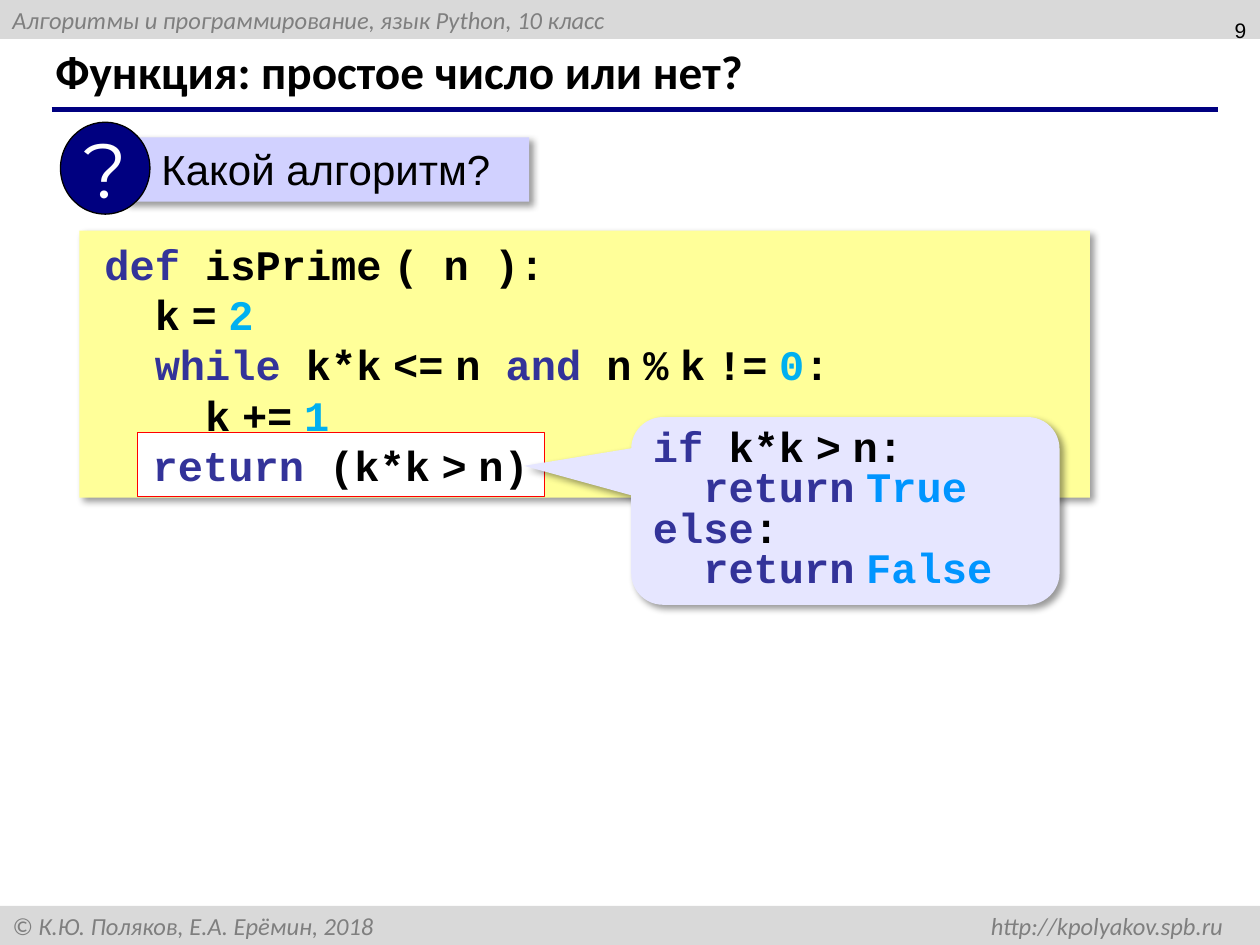
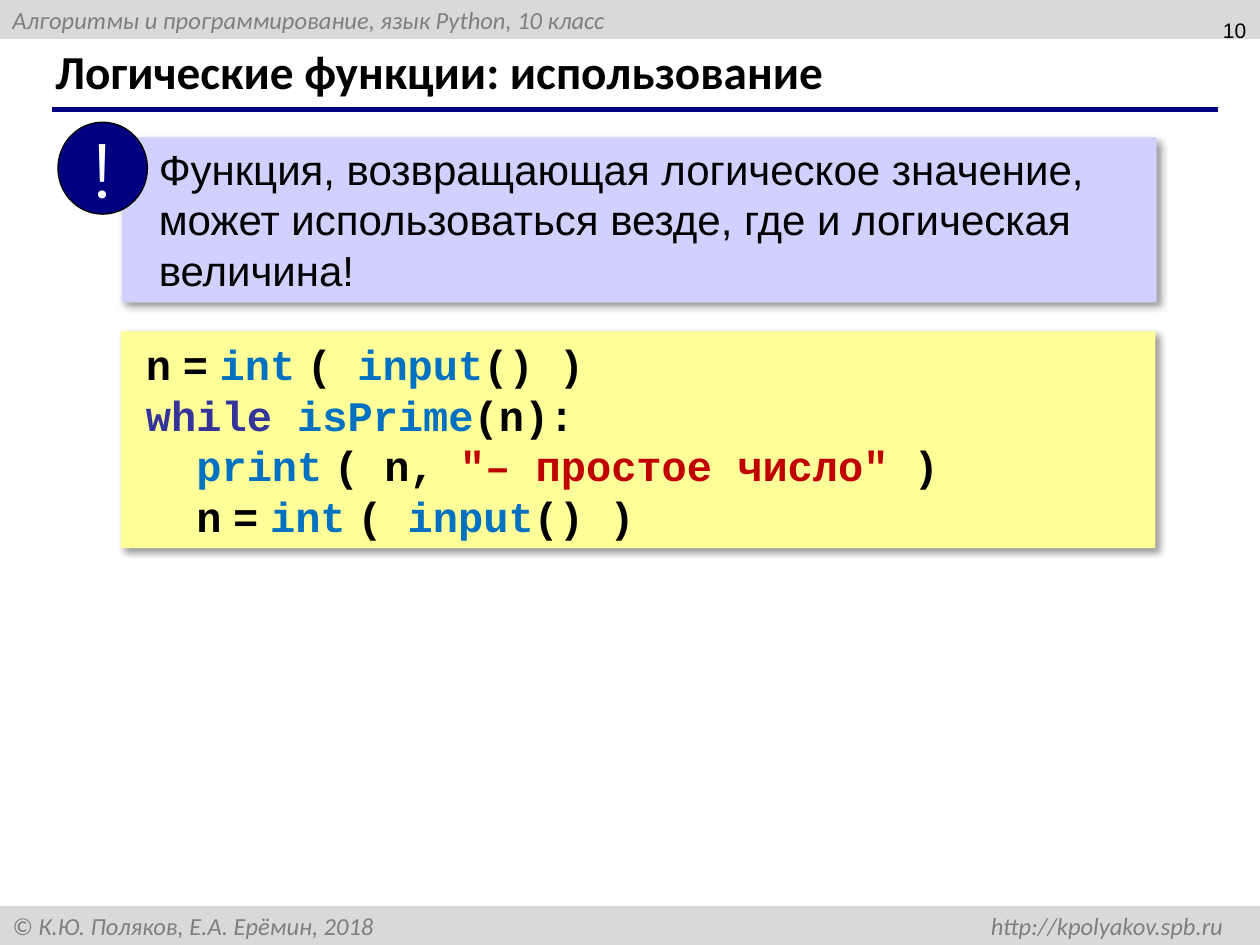
from lxml.etree import SubElement
from pptx import Presentation
from pptx.dml.color import RGBColor
from pptx.enum.shapes import MSO_CONNECTOR, MSO_SHAPE
from pptx.enum.text import MSO_ANCHOR, MSO_AUTO_SIZE, PP_ALIGN
from pptx.oxml.ns import qn
from pptx.util import Inches, Pt

BLACK = RGBColor(0x00, 0x00, 0x00)
WHITE = RGBColor(0xFF, 0xFF, 0xFF)
BAND = RGBColor(0xD9, 0xD9, 0xD9)
BAND_TEXT = RGBColor(0x7F, 0x7F, 0x7F)
NAVY = RGBColor(0x00, 0x00, 0x80)
LILAC = RGBColor(0xD1, 0xD1, 0xFF)
PALE_LILAC = RGBColor(0xE6, 0xE6, 0xFF)
YELLOW = RGBColor(0xFF, 0xFF, 0x99)
RED = RGBColor(0xFF, 0x00, 0x00)
KEYWORD = RGBColor(0x33, 0x33, 0x99)
BRIGHT_KEYWORD = RGBColor(0x00, 0x00, 0xFF)
NUMBER = RGBColor(0x00, 0xB0, 0xF0)
CONSTANT = RGBColor(0x00, 0x95, 0xFF)
FUNCTION = RGBColor(0x00, 0x70, 0xC0)
STRING = RGBColor(0xC0, 0x00, 0x00)

BAND_HEIGHT = 0.31
CODE_STEP = 0.4  # width of one indent level
NARROW = "~"  # stands for a narrow space in code lines

# A code line is its indent level followed by (text, colour) pieces.
READ_NUMBER = [(f"n{NARROW}={NARROW}", BLACK), ("int", FUNCTION),
               ("~( ", BLACK), ("input", FUNCTION), ("() )", BLACK)]
RETURN_TEST = (" (k*k~>~n)", BLACK)
IS_PRIME_CODE = [
    (0, [("def ", KEYWORD), ("isPrime~( n ):", BLACK)]),
    (1, [("k~=~", BLACK), ("2", NUMBER)]),
    (1, [("while", KEYWORD), (" k*k~<=~n ", BLACK), ("and", KEYWORD),
         (" n~%~k~!=~", BLACK), ("0", NUMBER), (":", BLACK)]),
    (2, [("k~+=~", BLACK), ("1", NUMBER)]),
    (1, [("return", BRIGHT_KEYWORD), RETURN_TEST]),
]
RETURN_CODE = [(0, [("return", KEYWORD), RETURN_TEST])]
BRANCH_CODE = [
    (0, [("if ", KEYWORD), ("k*k~>~n:", BLACK)]),
    (1, [("return~", KEYWORD), ("True", CONSTANT)]),
    (0, [("else", KEYWORD), (":", BLACK)]),
    (1, [("return~", KEYWORD), ("False", CONSTANT)]),
]
USAGE_CODE = [
    (0, READ_NUMBER),
    (0, [("while ", KEYWORD), ("isPrime", FUNCTION), ("(n):", BLACK)]),
    (1, [("print", FUNCTION), ("~( n, ", BLACK),
         ('"– простое число"', STRING), (" )", BLACK)]),
    (1, READ_NUMBER),
]


def format_font(font, name, size, color, bold=False, italic=False):
    """Set the look of a run's font."""
    font.name, font.size = name, Pt(size)
    font.bold, font.italic = bold, italic
    font.color.rgb = color


def add_box(shapes, kind, box, fill, line=None, shadow=False):
    """Add a filled preset shape, optionally outlined or with a soft shadow."""
    shape = shapes.add_shape(kind, *map(Inches, box))
    shape.fill.solid()
    shape.fill.fore_color.rgb = fill
    if line is None:
        shape.line.fill.background()
    else:
        shape.line.color.rgb = line
        shape.line.width = Pt(0.75)
    shape.shadow.inherit = False
    if shadow:
        effects = shape.element.spPr.find(qn("a:effectLst"))
        outer = SubElement(effects, qn("a:outerShdw"), blurRad=str(Pt(4)),
                           dist=str(Pt(3)), dir="2700000", algn="tl",
                           rotWithShape="0")
        tint = SubElement(outer, qn("a:srgbClr"), val=str(BLACK))
        SubElement(tint, qn("a:alpha"), val="40000")
    shape.text_frame.word_wrap = True
    return shape


def write_text(shape, text, name, size, color, align=PP_ALIGN.LEFT,
               anchor=MSO_ANCHOR.MIDDLE, **style):
    """Fill a shape with one formatted paragraph and return it."""
    frame = shape.text_frame
    frame.text = text
    frame.vertical_anchor = anchor
    paragraph = frame.paragraphs[0]
    paragraph.alignment = align
    for run in paragraph.runs:
        format_font(run.font, name, size, color, **style)
    return paragraph


def write_code(shape, lines, align=PP_ALIGN.LEFT, hanging=False, spacing=None):
    """Write coloured code lines into a shape."""
    frame = shape.text_frame
    frame.vertical_anchor = MSO_ANCHOR.MIDDLE
    for index, (level, pieces) in enumerate(lines):
        paragraph = frame.add_paragraph() if index else frame.paragraphs[0]
        paragraph.alignment = align
        if spacing:
            paragraph.line_spacing = spacing
        left, indent = (0.2, -0.1) if hanging else (0, 0)
        properties = paragraph._p.get_or_add_pPr()
        properties.set("marL", str(Inches(left + level * CODE_STEP)))
        properties.set("indent", str(Inches(indent)))
        for text, color in pieces:
            for position, part in enumerate(text.split(NARROW)):
                if position:
                    add_code_run(paragraph, " ", "Arial", color)
                if part:
                    add_code_run(paragraph, part, "Courier New", color)


def add_code_run(paragraph, text, name, color):
    """Append one bold run of code."""
    run = paragraph.add_run()
    run.text = text
    format_font(run.font, name, 24, color, bold=True)


def add_code_panel(slide, box, lines):
    """Add a yellow panel with a code listing."""
    panel = add_box(slide.shapes, MSO_SHAPE.RECTANGLE, box, YELLOW, shadow=True)
    write_code(panel, lines, PP_ALIGN.JUSTIFY, hanging=True)


def add_remark(slide, box, text, mark, mark_left):
    """Add a lilac remark with a round mark on its upper left corner."""
    remark = slide.shapes.add_group_shape()
    panel = add_box(remark.shapes, MSO_SHAPE.RECTANGLE, box, LILAC, shadow=True)
    panel.text_frame.margin_left = Inches(0.29)
    write_text(panel, text, "Arial", 24, BLACK, anchor=MSO_ANCHOR.TOP)
    badge = add_box(remark.shapes, MSO_SHAPE.OVAL,
                    (mark_left, 0.97, 0.71, 0.73), NAVY, BLACK)
    badge.text_frame.word_wrap = False
    write_text(badge, mark, "Montserrat", 44, WHITE, PP_ALIGN.CENTER)


def add_bands(slide):
    """Draw the bands and the title rule, then move them to the layout."""
    header = add_box(slide.shapes, MSO_SHAPE.RECTANGLE,
                     (0, 0, 10, BAND_HEIGHT), BAND)
    write_text(header, "Алгоритмы и программирование, язык Python, 10 класс",
               "Calibri", 14, BAND_TEXT, italic=True)

    footer = add_box(slide.shapes, MSO_SHAPE.RECTANGLE,
                     (0, 7.5 - BAND_HEIGHT, 10, BAND_HEIGHT), BAND)
    credit = write_text(
        footer, "© К.Ю. Поляков, Е.А. Ерёмин, 2018 \thttp://kpolyakov.spb.ru",
        "Calibri", 14, BAND_TEXT, italic=True)
    tabs = SubElement(credit._p.get_or_add_pPr(), qn("a:tabLst"))
    SubElement(tabs, qn("a:tab"), pos=str(Inches(9.61)), algn="r")

    rule = slide.shapes.add_connector(
        MSO_CONNECTOR.STRAIGHT, Inches(0.41), Inches(0.87),
        Inches(9.67), Inches(0.87))
    rule.line.color.rgb = NAVY
    rule.line.width = Pt(3)
    SubElement(rule.element.spPr, qn("a:effectLst"))

    for part in (header, footer, rule):
        slide.slide_layout.shapes.element.append(part.element)


def add_slide(deck, title, number):
    """Add a title-only slide with its heading and page number."""
    slide = deck.slides.add_slide(deck.slide_layouts[5])
    heading = slide.shapes.title
    heading.left, heading.top = Inches(0.34), Inches(0.33)
    heading.width, heading.height = Inches(9.16), Inches(0.52)
    heading.text_frame.auto_size = MSO_AUTO_SIZE.NONE
    write_text(heading, title, "Calibri", 27, BLACK,
               bold=True).line_spacing = 0.9
    page = slide.shapes.add_textbox(*map(Inches, (7.66, -0.02, 2.33, 0.52)))
    page.text_frame.word_wrap = True
    write_text(page, str(number), "Arial", 12, BLACK, PP_ALIGN.RIGHT)
    return slide


def build_prime_slide(deck):
    """Build the slide that defines the prime test."""
    slide = add_slide(deck, "Функция: простое число или нет?", 9)
    add_bands(slide)
    add_remark(slide, (0.99, 1.09, 3.21, 0.51), "Какой алгоритм?", "?", 0.48)
    add_code_panel(slide, (0.63, 1.83, 8.02, 2.12), IS_PRIME_CODE)
    result = add_box(slide.shapes, MSO_SHAPE.RECTANGLE,
                     (1.09, 3.43, 3.23, 0.51), WHITE, RED)
    write_code(result, RETURN_CODE, PP_ALIGN.CENTER)
    branches = add_box(slide.shapes, MSO_SHAPE.ROUNDED_RECTANGULAR_CALLOUT,
                       (5.01, 3.31, 3.4, 1.49), PALE_LILAC, shadow=True)
    for index, value in enumerate((-0.75, -0.24, 0.17)):
        branches.adjustments[index] = value
    write_code(branches, BRANCH_CODE, spacing=0.8)


def build_usage_slide(deck):
    """Build the slide that uses the prime test."""
    slide = add_slide(deck, "Логические функции: использование", 10)
    add_code_panel(slide, (0.96, 2.63, 8.21, 1.72), USAGE_CODE)
    add_remark(slide, (0.97, 1.09, 8.21, 1.31),
               "Функция, возвращающая логическое значение, может "
               "использоваться везде, где и логическая величина!", "!", 0.46)


def main():
    """Build and save the presentation."""
    deck = Presentation()
    deck.slide_width, deck.slide_height = Inches(10), Inches(7.5)
    build_prime_slide(deck)
    build_usage_slide(deck)
    deck.save("out.pptx")


main()
